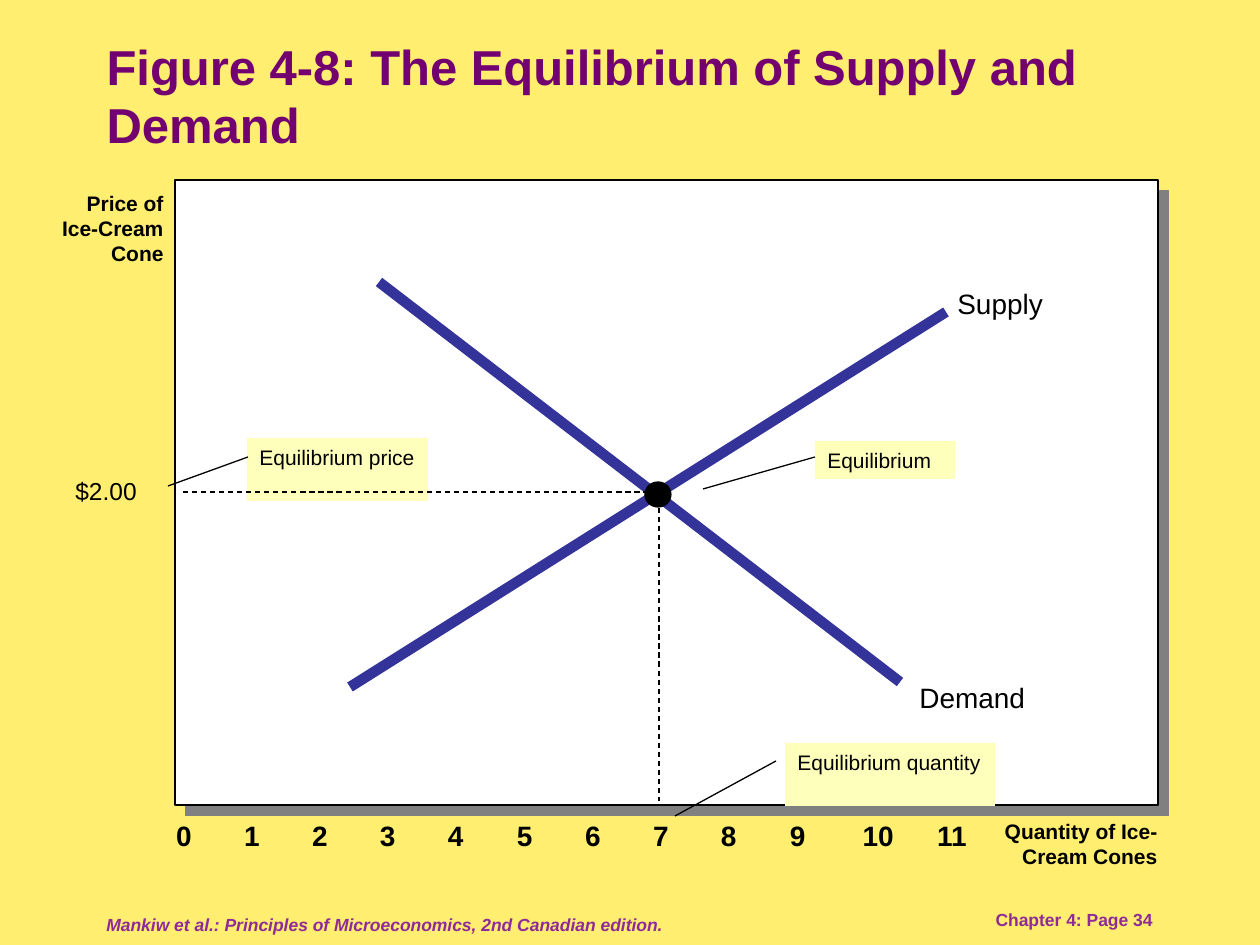
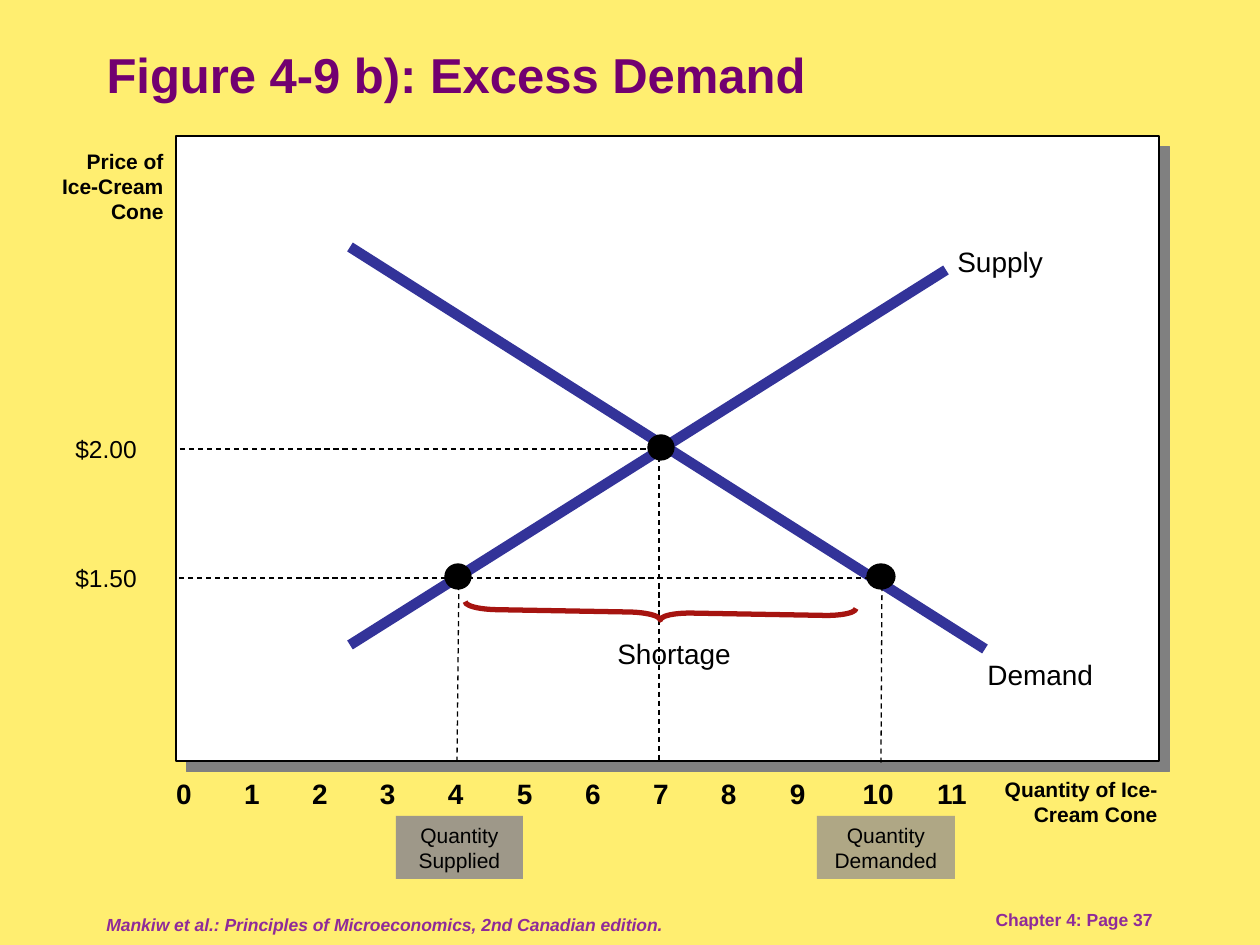
import dataclasses

import pptx
import pptx.dml.color
import pptx.enum.dml
import pptx.enum.shapes
import pptx.enum.text
import pptx.oxml
import pptx.oxml.ns
import pptx.util

SHAPE = pptx.enum.shapes.MSO_SHAPE
ALIGN = pptx.enum.text.PP_ALIGN
ANCHOR = pptx.enum.text.MSO_ANCHOR
EMU_PER_PX = 914400 / 126


@dataclasses.dataclass(frozen=True)
class Theme:
    font: str = "Arial"
    background: str = "FFEE70"
    title: str = "720070"
    footer: str = "8F2B99"
    ink: str = "000000"
    plot: str = "FFFFFF"
    shadow: str = "808080"
    curve: str = "333399"
    callout: str = "FEFFBA"
    quantity: str = "666699"
    brace: str = "A61410"
    title_size: int = 28
    label_size: int = 16
    price_size: int = 14
    note_size: int = 12
    footer_size: int = 10
    thin: float = 0.75
    brace_width: int = 3
    curve_width: int = 6


THEME = Theme()


def px(n):
    return pptx.util.Emu(round(n * EMU_PER_PX))


def rgb(color):
    return pptx.dml.color.RGBColor.from_string(color)


def write(sp, text, size, color=THEME.ink, bold=False, italic=False,
          align=ALIGN.LEFT, anchor=ANCHOR.TOP):
    tf = sp.text_frame
    tf.word_wrap = True
    tf.auto_size = pptx.enum.text.MSO_AUTO_SIZE.NONE
    tf.vertical_anchor = anchor
    p = tf.paragraphs[0]
    p.text = text
    p.alignment = align
    font = p.font
    font.name, font.size = THEME.font, pptx.util.Pt(size)
    font.bold, font.italic = bold, italic
    font.color.rgb = rgb(color)


def add_effects(sp, effects=""):
    """Replace inherited effects with the given ones."""
    sp._element.spPr.append(pptx.oxml.parse_xml(
        f'<a:effectLst {pptx.oxml.ns.nsdecls("a")}>{effects}</a:effectLst>'))


class Region:
    """Places parts relative to the corner of a region on a slide."""

    def __init__(self, slide, left, top):
        self.shapes, self.left, self.top = slide.shapes, left, top

    def place(self, x, y, w, h):
        return px(self.left + x), px(self.top + y), px(w), px(h)

    def text(self, box, text, size, **style):
        write(self.shapes.add_textbox(*self.place(*box)), text, size, **style)

    def shape(self, kind, box, fill=None, line=None, width=THEME.thin):
        sp = self.shapes.add_shape(kind, *self.place(*box))
        sp.shadow.inherit = False
        if fill:
            sp.fill.solid()
            sp.fill.fore_color.rgb = rgb(fill)
        else:
            sp.fill.background()
        if line:
            sp.line.color.rgb = rgb(line)
            sp.line.width = pptx.util.Pt(width)
        else:
            sp.line.fill.background()
        return sp

    def line(self, start, end, color=THEME.ink, width=THEME.thin, dashed=False):
        ends = [px(n) for x, y in (start, end)
                for n in (self.left + x, self.top + y)]
        cx = self.shapes.add_connector(
            pptx.enum.shapes.MSO_CONNECTOR.STRAIGHT, *ends)
        cx.line.color.rgb = rgb(color)
        cx.line.width = pptx.util.Pt(width)
        if dashed:
            cx.line.dash_style = pptx.enum.dml.MSO_LINE.DASH
        add_effects(cx)

    def dot(self, x, y, w=26):
        self.shape(SHAPE.OVAL, (x, y, w, 25), THEME.ink, THEME.ink)


# Parts shared by both slides

def add_slide(prs, title, title_top, page):
    slide = prs.slides.add_slide(prs.slide_layouts[5])
    sp = slide.shapes.title
    sp.left, sp.top, sp.width, sp.height = px(94), px(title_top), px(1071), px(84)
    write(sp, title, THEME.title_size, THEME.title, bold=True,
          anchor=ANCHOR.MIDDLE)
    footer = Region(slide, 94, 903)
    footer.text((0, 0, 746, 42),
                "Mankiw et al.: Principles of Microeconomics, 2nd Canadian edition.",
                THEME.footer_size, color=THEME.footer, bold=True, italic=True,
                anchor=ANCHOR.MIDDLE)
    footer.text((809, 0, 262, 32), f"Chapter 4: Page {page}", THEME.footer_size,
                color=THEME.footer, bold=True, align=ALIGN.RIGHT)
    return slide


def draw_plot(graph, x, y):
    plot = graph.shape(SHAPE.RECTANGLE, (x, y, 983, 625), THEME.plot, THEME.ink)
    effects = plot._element.spPr.find(pptx.oxml.ns.qn("a:effectLst"))
    plot._element.spPr.remove(effects)
    add_effects(plot, f'<a:outerShdw dist="{pptx.util.Pt(8.5)}" dir="2700000" '
                      'algn="ctr" rotWithShape="0">'
                      f'<a:srgbClr val="{THEME.shadow}"/></a:outerShdw>')


def draw_axes(graph, quantity_title):
    style = dict(bold=True, align=ALIGN.RIGHT)
    graph.text((34, 4, 142, 88), "Price of Ice-Cream Cone",
               THEME.note_size, **style)
    graph.text((968, 632, 202, 63), quantity_title, THEME.note_size, **style)
    # Single digits are evenly spaced; the two-digit labels sit further right
    tick_rights = [204 + 614 * i // 9 for i in range(10)] + [906, 979]
    for number, right in enumerate(tick_rights):
        w = 53 if number < 10 else 73
        graph.text((right - w, 632, w, 47), str(number), THEME.label_size, **style)


def draw_curve(graph, name, start, end, label):
    graph.line(start, end, THEME.curve, THEME.curve_width)
    graph.text((*label, 147, 47), name, THEME.label_size)


def draw_supply(graph):
    draw_curve(graph, "Supply", (350, 507), (946, 132), (945, 100))


def draw_price(graph, price, label_top, start, end):
    graph.line(start, end, dashed=True)
    graph.text((63, label_top, 112, 42), price, THEME.price_size)


def draw_callout(graph, text, box, start, end):
    write(graph.shape(SHAPE.RECTANGLE, box, THEME.callout), text, THEME.note_size)
    graph.line(start, end)


def draw_quantity(graph, text, box, alpha):
    sp = graph.shape(SHAPE.RECTANGLE, box, THEME.quantity)
    color = sp._element.spPr.find(".//" + pptx.oxml.ns.qn("a:srgbClr"))
    color.append(pptx.oxml.parse_xml(
        f'<a:alpha {pptx.oxml.ns.nsdecls("a")} val="{alpha * 1000}"/>'))
    write(sp, text, THEME.note_size, align=ALIGN.CENTER)


# Slides

def equilibrium_slide(prs):
    slide = add_slide(
        prs, "Figure 4-8: The Equilibrium of Supply and Demand", 53, 34)
    graph = Region(slide, 0, 180)
    draw_plot(graph, 175, 0)
    draw_callout(graph, "Equilibrium price", (247, 258, 181, 63),
                 (248, 277), (168, 306))
    draw_curve(graph, "Demand", (379, 102), (900, 502), (907, 494))
    draw_supply(graph)
    draw_price(graph, "$2.00", 290, (183, 312), (651, 312))
    graph.line((659, 319), (659, 621), dashed=True)
    graph.dot(645, 302)
    draw_callout(graph, "Equilibrium", (815, 261, 140, 38),
                 (815, 277), (703, 309))
    draw_callout(graph, "Equilibrium quantity", (785, 563, 210, 63),
                 (776, 581), (675, 636))
    draw_axes(graph, "Quantity of Ice-Cream Cones")


def shortage_slide(prs):
    slide = add_slide(prs, "Figure 4-9 b): Excess Demand", 32, 37)
    graph = Region(slide, 0, 138)
    draw_plot(graph, 176, -2)
    draw_curve(graph, "Demand", (350, 109), (985, 511), (975, 513))
    draw_supply(graph)
    # Market equilibrium
    draw_price(graph, "$2.00", 290, (180, 311), (648, 311))
    graph.line((659, 319), (659, 622), dashed=True)
    graph.dot(648, 297)
    draw_axes(graph, "Quantity of Ice-Cream Cone")
    # Shortage at the lower price
    draw_price(graph, "$1.50", 419, (179, 440), (872, 440))
    brace = graph.shape(SHAPE.LEFT_BRACE, (653, 279, 15, 391),
                        line=THEME.brace, width=THEME.brace_width)
    brace.adjustments[0] = 2.09
    brace.rotation = 271
    graph.text((605, 492, 146, 47), "Shortage", THEME.label_size)
    graph.line((459, 438), (457, 626), dashed=True)
    graph.dot(445, 426)
    draw_quantity(graph, "Quantity Supplied", (396, 678, 127, 63), 63)
    draw_quantity(graph, "Quantity Demanded", (817, 678, 138, 63), 52)
    graph.dot(867, 426, 28)
    graph.line((882, 439), (881, 627), dashed=True)


def main():
    prs = pptx.Presentation()
    prs.slide_width, prs.slide_height = px(1260), px(945)
    fill = prs.slide_master.background.fill
    fill.solid()
    fill.fore_color.rgb = rgb(THEME.background)
    equilibrium_slide(prs)
    shortage_slide(prs)
    prs.save("out.pptx")


if __name__ == "__main__":
    main()
